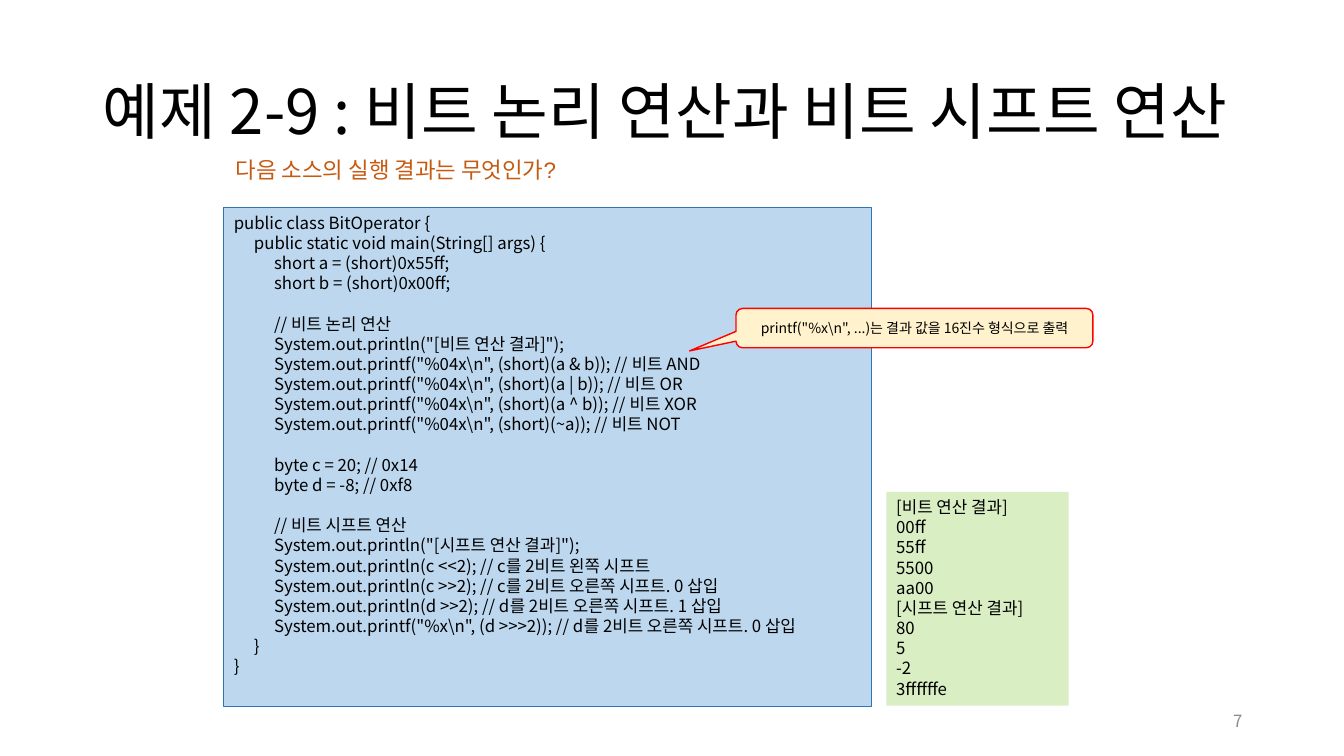
from lxml.etree import SubElement
from pptx import Presentation
from pptx.dml.color import RGBColor
from pptx.enum.shapes import MSO_SHAPE
from pptx.enum.text import MSO_ANCHOR, PP_ALIGN
from pptx.oxml.ns import qn
from pptx.util import Inches, Pt

COLORS = {
    "black": "000000",
    "orange": "C55A11",
    "gray": "8C8C8C",
    "code_fill": "BDD7EE",
    "code_line": "2E75B6",
    "output_fill": "DAEEC4",
    "note_fill": "FFF2CC",
    "note_line": "FF0000",
}
FONT = "Noto Sans CJK KR"
LINE_PITCH = 14.4
INDENT = 0.2

CODE_BLOCKS = [
    [
        (0, "public class BitOperator {"),
        (1, "public static void main(String[] args) {"),
        (2, "short a = (short)0x55ff;"),
        (2, "short b = (short)0x00ff;"),
    ],
    [
        (2, "// 비트 논리 연산"),
        (2, 'System.out.println("[비트 연산 결과]");'),
        (2, r'System.out.printf("%04x\n", (short)(a & b)); // 비트 AND'),
        (2, r'System.out.printf("%04x\n", (short)(a | b)); // 비트 OR'),
        (2, r'System.out.printf("%04x\n", (short)(a ^ b)); // 비트 XOR'),
        (2, r'System.out.printf("%04x\n", (short)(~a)); // 비트 NOT'),
    ],
    [
        (2, "byte c = 20; // 0x14"),
        (2, "byte d = -8; // 0xf8"),
    ],
    [
        (2, "// 비트 시프트 연산"),
        (2, 'System.out.println("[시프트 연산 결과]");'),
        (2, "System.out.println(c <<2); // c를 2비트 왼쪽 시프트"),
        (2, "System.out.println(c >>2); // c를 2비트 오른쪽 시프트. 0 삽입"),
        (2, "System.out.println(d >>2); // d를 2비트 오른쪽 시프트. 1 삽입"),
        (2, r'System.out.printf("%x\n", (d >>>2)); // d를 2비트 오른쪽 시프트. 0 삽입'),
        (1, "}"),
        (0, "}"),
    ],
]
OUTPUT_BLOCK = [(0, line) for line in (
    "[비트 연산 결과]", "00ff", "55ff", "5500", "aa00",
    "[시프트 연산 결과]", "80", "5", "-2", "3ffffffe",
)]


def rgb(name):
    return RGBColor.from_string(COLORS[name])


def add_run(p, text, size, color="black", font=FONT):
    r = p.add_run()
    r.text = text
    r.font.size = Pt(size)
    r.font.name = font
    r.font.color.rgb = rgb(color)
    SubElement(r.font._element, qn("a:ea")).set("typeface", FONT)


def add_label(s, box, text, size, color="black", font=FONT,
              align=PP_ALIGN.LEFT, anchor=MSO_ANCHOR.TOP, pitch=None):
    sp = s.shapes.add_textbox(*map(Inches, box))
    tf = sp.text_frame
    tf.word_wrap = True
    tf.vertical_anchor = anchor
    p = tf.paragraphs[0]
    p.alignment = align
    if pitch:
        p.line_spacing = Pt(pitch)
    add_run(p, text, size, color, font)


def add_panel(s, kind, box, fill, line=None, width=1):
    sp = s.shapes.add_shape(kind, *map(Inches, box))
    sp.shadow.inherit = False
    sp.fill.solid()
    sp.fill.fore_color.rgb = rgb(fill)
    if line:
        sp.line.color.rgb = rgb(line)
        sp.line.width = Pt(width)
    else:
        sp.line.fill.background()
    sp.text_frame.word_wrap = True
    return sp


def add_listing(sp, blocks):
    tf = sp.text_frame
    tf.vertical_anchor = MSO_ANCHOR.TOP
    p = tf.paragraphs[0]
    for b, block in enumerate(blocks):
        for i, (level, text) in enumerate(block):
            if b or i:
                p = tf.add_paragraph()
            p.alignment = PP_ALIGN.LEFT
            p.line_spacing = Pt(LINE_PITCH)
            if b and i == 0:
                p.space_before = Pt(LINE_PITCH)
            pPr = p._p.get_or_add_pPr()
            pPr.set("marL", str(Inches(INDENT * level)))
            add_run(p, text, 12)


def add_callout(s, box, tail, text):
    sp = add_panel(s, MSO_SHAPE.ROUNDED_RECTANGULAR_CALLOUT, box,
                   "note_fill", "note_line")
    sp.adjustments[0], sp.adjustments[1] = tail
    tf = sp.text_frame
    tf.vertical_anchor = MSO_ANCHOR.MIDDLE
    p = tf.paragraphs[0]
    p.alignment = PP_ALIGN.CENTER
    add_run(p, text, 10)


def main():
    prs = Presentation()
    prs.slide_width, prs.slide_height = Inches(13.33), Inches(7.5)
    s = prs.slides.add_slide(prs.slide_layouts[6])

    add_label(s, (0.92, 0.4, 11.5, 1.45), "예제 2-9 : 비트 논리 연산과 비트 시프트 연산",
              44, anchor=MSO_ANCHOR.MIDDLE, pitch=47)
    code = add_panel(s, MSO_SHAPE.RECTANGLE, (2.22, 2.06, 6.42, 4.95),
                     "code_fill", "code_line", 0.75)
    add_listing(code, CODE_BLOCKS)
    add_label(s, (2.24, 1.5, 5.76, 0.37), "다음 소스의 실행 결과는 무엇인가?",
              16, "orange", "Arial")
    output = add_panel(s, MSO_SHAPE.RECTANGLE, (8.79, 4.88, 1.81, 2.12), "output_fill")
    add_listing(output, [OUTPUT_BLOCK])
    add_callout(s, (7.3, 3.06, 3.54, 0.39), (-0.63, 0.58),
                r'printf("%x\n", ...)는 결과 값을 16진수 형식으로 출력')
    add_label(s, (9.42, 6.95, 3, 0.4), "7", 12, "gray",
              align=PP_ALIGN.RIGHT, anchor=MSO_ANCHOR.MIDDLE)
    prs.save("out.pptx")


if __name__ == "__main__":
    main()
